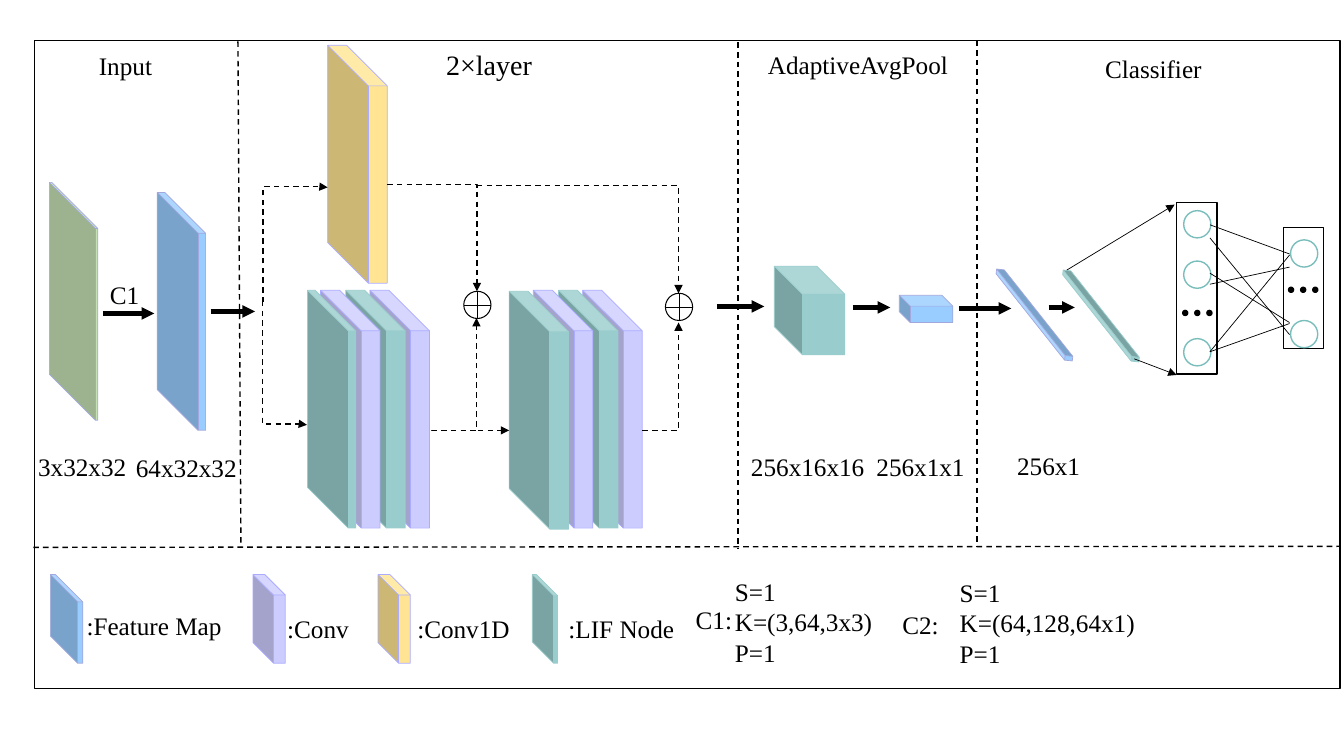
from lxml.etree import SubElement
from pptx import Presentation
from pptx.dml.color import RGBColor
from pptx.enum.dml import MSO_LINE
from pptx.enum.shapes import MSO_CONNECTOR, MSO_SHAPE
from pptx.enum.text import PP_ALIGN
from pptx.oxml.ns import qn
from pptx.util import Emu, Pt

PX = 9144  # EMU per px, 100 px to the inch
FONT = "Times New Roman"
COLORS = {
    "black": "000000", "white": "FFFFFF", "ring": "7ABEBC",
    "green": "C5E0B4", "blue": "99CCFF", "blue_edge": "A2A8DE",
    "violet": "CCCCFF", "violet_edge": "ABABFF",
    "teal": "99CCCC", "yellow": "FFE593",
}
# Kind of block: fill, edge
BLOCKS = {
    "input": ("green", "blue_edge"),
    "feature": ("blue", "blue_edge"),
    "conv": ("violet", "violet_edge"),
    "conv1d": ("yellow", "violet_edge"),
    "lif": ("teal", "teal"),
}


def px(n):
    return Emu(round(n * PX))


def rgb(name):
    return RGBColor.from_string(COLORS[name])


def add_box(s, preset, x, y, w, h, fill="white", line="black", width=1):
    sp = s.shapes.add_shape(preset, px(x), px(y), px(w), px(h))
    sp.shadow.inherit = False
    sp.fill.solid()
    sp.fill.fore_color.rgb = rgb(fill)
    sp.line.color.rgb = rgb(line)
    sp.line.width = Pt(width)
    return sp


def add_block(s, kind, x, y, w, h, depth, rotation=0):
    """A cube; upright ones are mirrored so that the wide face is on the left."""
    fill, edge = BLOCKS[kind]
    sp = add_box(s, MSO_SHAPE.CUBE, x, y, w, h, fill, edge, 0.5)
    sp.adjustments[0] = depth
    if rotation:
        sp.rotation = rotation
    else:
        sp._element.spPr.find(qn("a:xfrm")).set("flipH", "1")


def style_line(c, width, arrow, dash):
    c.line.color.rgb = rgb("black")
    c.line.width = Pt(width)
    if dash:
        c.line.dash_style = MSO_LINE.DASH
    spPr = c._element.spPr
    if arrow:
        SubElement(spPr.find(qn("a:ln")), qn("a:tailEnd"), type="triangle")
    SubElement(spPr, qn("a:effectLst"))


def add_line(s, x1, y1, x2, y2, width=0.5, arrow=False, dash=False):
    c = s.shapes.add_connector(MSO_CONNECTOR.STRAIGHT, px(x1), px(y1), px(x2), px(y2))
    style_line(c, width, arrow, dash)


def add_elbow(s, x1, y1, x2, y2, rotation=0, bend=None):
    """A dashed elbow arrow; without a bend position it has a single corner."""
    c = s.shapes.add_connector(MSO_CONNECTOR.ELBOW, px(x1), px(y1), px(x2), px(y2))
    spPr = c._element.spPr
    geom = spPr.find(qn("a:prstGeom"))
    if bend is None:
        geom.set("prst", "bentConnector2")
    else:
        guides = geom.find(qn("a:avLst"))
        if guides is None:
            guides = SubElement(geom, qn("a:avLst"))
        SubElement(guides, qn("a:gd"), name="adj1", fmla=f"val {round(bend * 100000)}")
    if rotation:
        spPr.find(qn("a:xfrm")).set("rot", str(rotation * 60000))
    style_line(c, 1, arrow=True, dash=True)


def add_text(s, text, x, y, w, h=40, align=PP_ALIGN.LEFT, size=18):
    tf = s.shapes.add_textbox(px(x), px(y), px(w), px(h)).text_frame
    tf.word_wrap = True
    tf.text = text
    for p in tf.paragraphs:
        p.alignment = align
        for r in p.runs:
            r.font.name = FONT
            r.font.size = Pt(size)
            r.font.color.rgb = rgb("black")


def add_adder(s, x, y, d=27):
    add_box(s, MSO_SHAPE.OVAL, x, y, d, d, width=0.75)
    add_line(s, x, y + d / 2, x + d, y + d / 2)
    add_line(s, x + d / 2, y + d, x + d / 2, y)


def add_neurons(s, x, y, h, node_x, node_tops, dots_x, dots_y):
    add_box(s, MSO_SHAPE.RECTANGLE, x, y, 40, h)
    for top in node_tops:
        add_box(s, MSO_SHAPE.OVAL, node_x, top, 27, 27, line="ring")
    for i in range(3):
        add_box(s, MSO_SHAPE.OVAL, dots_x + 12 * i, dots_y, 5, 5, fill="black")


def add_frame(s):
    add_box(s, MSO_SHAPE.RECTANGLE, 34, 40, 1295, 643)
    for x1, y1, x2, y2 in [(236, 41, 239, 543), (732, 42, 732, 544),
                           (969, 40, 969, 543), (33, 543, 1328, 542)]:
        add_line(s, x1, y1, x2, y2, width=1, dash=True)


def add_blocks(s):
    add_block(s, "input", 49, 181, 48, 236, 0.952)
    add_block(s, "feature", 156, 191, 48, 236, 0.841)
    add_block(s, "conv1d", 325, 45, 59, 236, 0.682)
    # Two stacks, drawn from the rear block to the front one
    for x in (318, 529):
        for kind, dx in [("conv", 49), ("lif", 25), ("conv", 0)]:
            add_block(s, kind, x + dx, 288, 59, 236, 0.682)
    add_block(s, "lif", 305, 288, 48, 236, 0.841)
    add_block(s, "lif", 505, 289, 59, 236, 0.682)
    # Pooling and flattening
    add_block(s, "lif", 768, 264, 70, 88, 0.398)
    add_block(s, "feature", 892, 293, 53, 27, 0.398)
    add_block(s, "feature", 985, 270, 82, 85, 0.943, 276.6)
    add_block(s, "lif", 1051, 271, 82, 85, 0.943, 276.6)


def add_flow(s):
    # Main arrows
    for x1, x2, y in [(102, 153, 311), (209, 253, 309), (711, 758, 304),
                      (846, 883, 305), (951, 1003, 306), (1040, 1066, 305)]:
        add_line(s, x1, y, x2, y, width=3, arrow=True)
    # Residual paths
    add_adder(s, 460, 289)
    add_adder(s, 660, 291)
    add_line(s, 474, 427, 505, 427, width=1, arrow=True, dash=True)
    add_elbow(s, 350, 275, 236, 211, 90, 1.006)
    add_elbow(s, 344, 338, 221, 382, 270, 0.993)
    add_elbow(s, 506, 393, 395, 349, 90, -0.005)
    add_elbow(s, 637, 427, 673, 320)
    add_elbow(s, 384, 183, 473, 289)
    add_elbow(s, 473, 184, 673, 291)


def add_classifier(s):
    add_neurons(s, 1167, 201, 170, 1174, (209, 259, 336), 1173, 308)
    add_neurons(s, 1273, 226, 120, 1280, (238, 318), 1278, 285)
    add_line(s, 1058, 268, 1165, 203, arrow=True)
    add_line(s, 1125, 356, 1167, 372, arrow=True)
    for y1, y2 in [(223, 252), (236, 332), (282, 265),
                   (271, 320), (349, 321), (349, 253)]:
        add_line(s, 1200, y1, 1279, y2)


def add_labels(s):
    center = PP_ALIGN.CENTER
    # Stage titles
    add_text(s, "Input", 76, 45, 97, align=center)
    add_text(s, "2×layer", 372, 42, 226, 44, center, 20)
    add_text(s, "AdaptiveAvgPool", 748, 44, 206, align=center)
    add_text(s, "Classifier", 1041, 48, 206, align=center)
    # Sizes
    add_text(s, "C1", 99, 272, 52)
    add_text(s, "3x32x32", 28, 443, 140)
    add_text(s, "64x32x32", 125, 444, 124)
    add_text(s, "256x16x16", 735, 443, 139)
    add_text(s, "256x1x1", 857, 443, 112, align=center)
    add_text(s, "256x1", 984, 442, 112, align=center)


def add_legend(s):
    for kind, x, w, depth, label, label_x, label_y, label_w in [
        ("feature", 50, 32, 0.841, ":Feature Map", 76, 601, 172),
        ("conv", 251, 32, 0.635, ":Conv", 275, 604, 86),
        ("conv1d", 375, 32, 0.635, ":Conv1D", 404, 604, 118),
        ("lif", 528, 25, 0.841, ":LIF Node", 554, 604, 134),
    ]:
        add_block(s, kind, x, 570, w, 88, depth)
        add_text(s, label, label_x, label_y, label_w)
    # Convolution settings
    add_text(s, "C1:", 676, 595, 64, align=PP_ALIGN.CENTER)
    add_text(s, "S=1\nK=(3,64,3x3)\nP=1", 719, 567, 164, 101)
    add_text(s, "C2:", 874, 600, 78, align=PP_ALIGN.CENTER)
    add_text(s, "S=1\nK=(64,128,64x1)\nP=1", 942, 568, 207, 101)


def main():
    prs = Presentation()
    prs.slide_width, prs.slide_height = px(1333), px(750)
    s = prs.slides.add_slide(prs.slide_layouts[6])
    add_frame(s)
    add_blocks(s)
    add_flow(s)
    add_classifier(s)
    add_labels(s)
    add_legend(s)
    prs.save("out.pptx")


if __name__ == "__main__":
    main()
